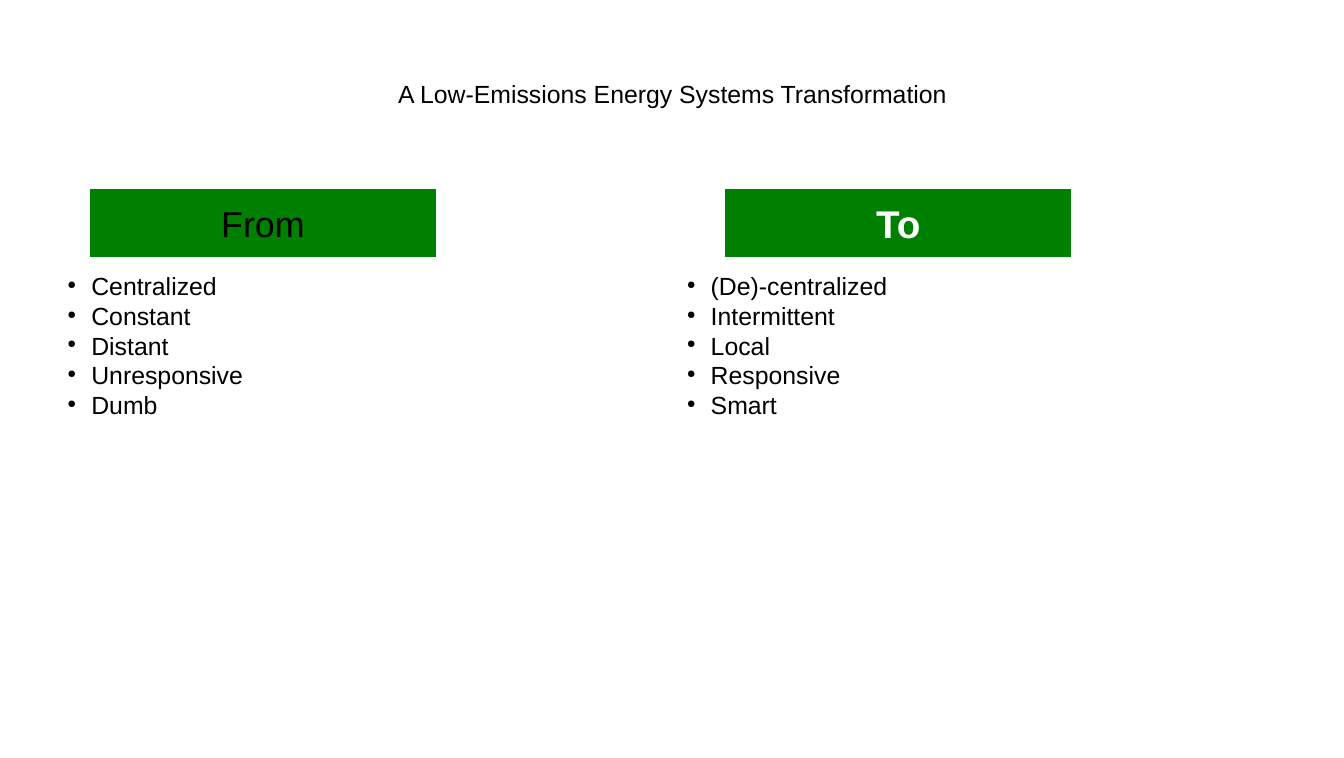
import pptx
import pptx.dml.color
import pptx.enum.shapes
import pptx.enum.text
import pptx.oxml
import pptx.oxml.ns
import pptx.util

PX = 9144  # one hundredth of an inch
BULLET_INDENT = 24
ANCHOR = pptx.enum.text.MSO_ANCHOR
ALIGN = pptx.enum.text.PP_ALIGN


def color(code):
    return pptx.dml.color.RGBColor.from_string(code)


def write(shape, lines, align, anchor, margins, size, ink, bold=False, bullets=False):
    frame = shape.text_frame
    settings = {"word_wrap": True, "vertical_anchor": anchor,
                "margin_left": margins[0] * PX, "margin_right": margins[0] * PX,
                "margin_top": margins[1] * PX, "margin_bottom": margins[1] * PX}
    for name, value in settings.items():
        setattr(frame, name, value)
    for index, line in enumerate(lines):
        para = frame.add_paragraph() if index else frame.paragraphs[0]
        para.alignment = align
        span = para.add_run()
        span.text = line
        for name, value in {"name": "Arial", "size": pptx.util.Pt(size), "bold": bold}.items():
            setattr(span.font, name, value)
        span.font.color.rgb = color(ink)
        if bullets:
            properties = para._p.get_or_add_pPr()
            properties.set("marL", str(BULLET_INDENT * PX))
            properties.set("indent", str(-BULLET_INDENT * PX))
            for tag, key, value in (("buSzPct", "val", "45000"), ("buChar", "char", "●")):
                mark = pptx.oxml.parse_xml(f'<a:{tag} {pptx.oxml.ns.nsdecls("a")} {key}="{value}"/>')
                properties.append(mark)


deck = pptx.Presentation()
deck.slide_width, deck.slide_height = 1354 * PX, 764 * PX
page = deck.slides.add_slide(deck.slide_layouts[6])

# Title
title = page.shapes.add_textbox(68 * PX, 26 * PX, 1219 * PX, 137 * PX)
write(title, ["A Low-Emissions Energy Systems Transformation"],
      ALIGN.CENTER, ANCHOR.MIDDLE, (0, 0), 18, "000000")

# Columns: list left, header left, header style, list items
columns = [
    (68, 90, "From", 26, "000000", False,
     ["Centralized", "Constant", "Distant", "Unresponsive", "Dumb"]),
    (692, 730, "To", 28, "FFFFFF", True,
     ["(De)-centralized", "Intermittent", "Local", "Responsive", "Smart"]),
]
for list_left, header_left, heading, size, ink, bold, items in columns:
    # Bulleted list
    listing = page.shapes.add_textbox(list_left * PX, 273 * PX, 595 * PX, 443 * PX)
    write(listing, items, ALIGN.LEFT, ANCHOR.TOP, (0, 0), 18, "000000", bullets=True)

    # Green header
    header = page.shapes.add_shape(pptx.enum.shapes.MSO_SHAPE.RECTANGLE,
                                   header_left * PX, 190 * PX, 350 * PX, 70 * PX)
    header.shadow.inherit = False
    header.fill.solid()
    header.fill.fore_color.rgb = color("008000")
    header.line.color.rgb = color("FFFFFF")
    header.line.width = pptx.util.Pt(0.75)
    write(header, [heading], ALIGN.CENTER, ANCHOR.MIDDLE, (10, 5), size, ink, bold)

deck.save("out.pptx")
